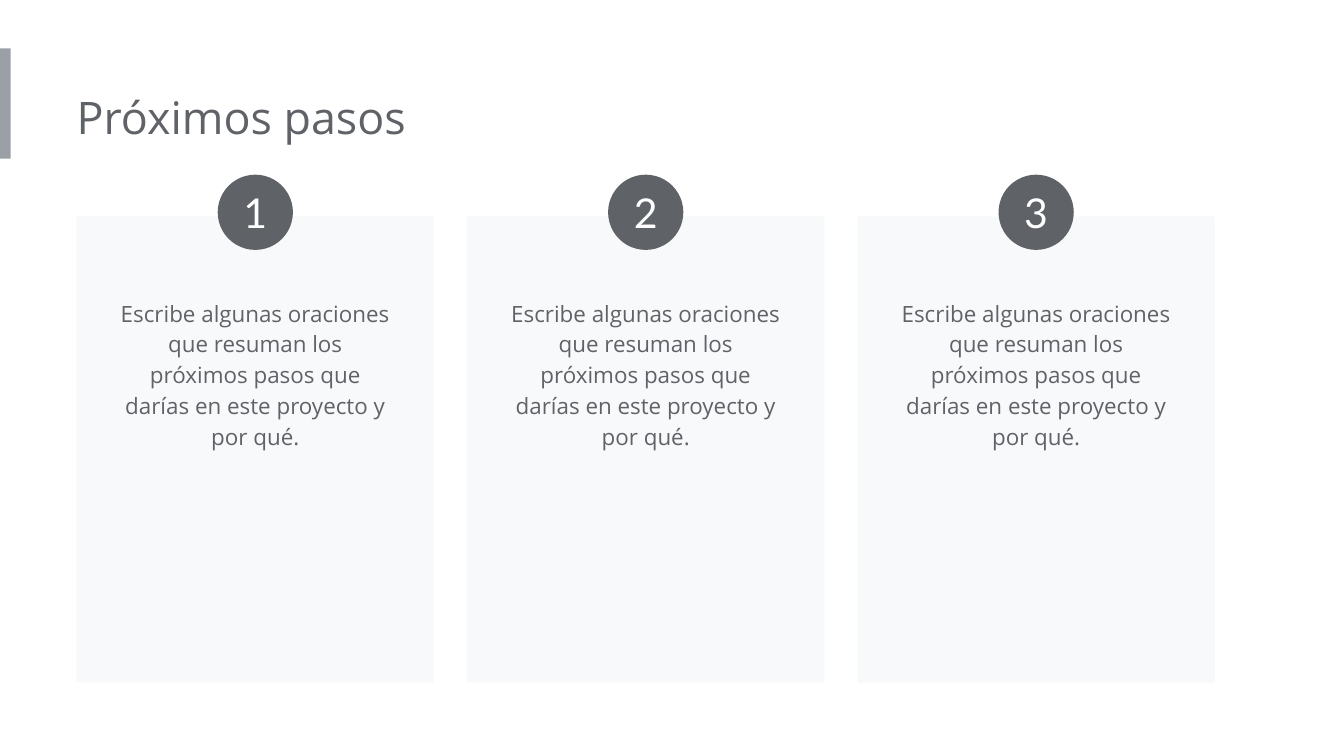
from pptx import Presentation
from pptx.dml.color import RGBColor
from pptx.enum import shapes, text
from pptx.util import Inches, Pt

WHITE = RGBColor(0xFF, 0xFF, 0xFF)
PALE = RGBColor(0xF8, 0xF9, 0xFA)
GREY = RGBColor(0x9A, 0xA0, 0xA6)
DARK = RGBColor(0x5F, 0x63, 0x68)

SLIDE_W = 10
SLIDE_H = SLIDE_W * 9 / 16
MARGIN = 0.57
CARDS_RIGHT = 9.04
CARD_TOP, CARD_W, CARD_H = 1.61, 2.66, 3.47
BADGE = 0.56
STEP = ("Escribe algunas oraciones que resuman los próximos pasos "
        "que darías en este proyecto y por qué.")
STEPS = [STEP] * 3


def inches(*box):
    return [Inches(v) for v in box]


def add_filled(s, kind, box, color):
    sp = s.shapes.add_shape(kind, *inches(*box))
    sp.shadow.inherit = False
    sp.fill.solid()
    sp.fill.fore_color.rgb = color
    sp.line.fill.background()
    return sp


def write(sp, content, size, font, color, align, anchor, insets):
    """Put one formatted paragraph in a shape; insets run left, top, right, bottom."""
    tf = sp.text_frame
    tf.word_wrap = True
    tf.auto_size = text.MSO_AUTO_SIZE.NONE
    tf.vertical_anchor = anchor
    tf.margin_left, tf.margin_top, tf.margin_right, tf.margin_bottom = inches(*insets)
    p = tf.paragraphs[0]
    p.text = content
    p.alignment = align
    p.font.size = Pt(size)
    p.font.name = font
    p.font.color.rgb = color
    return p


def add_heading(s, content, left, top, width, height):
    add_filled(s, shapes.MSO_SHAPE.RECTANGLE, (0, 0.36, 0.08, 0.82), GREY)
    title = s.shapes.title
    title.left, title.top, title.width, title.height = inches(left, top, width, height)
    p = write(title, content, 24, "Open Sans", DARK, text.PP_ALIGN.LEFT,
              text.MSO_ANCHOR.TOP, (0, 0.1, 0.1, 0.1))
    p.line_spacing = 1.0
    p.space_before = Pt(0)


def add_step(s, number, content, left, top, width, height):
    """Draw a card with its text and a numbered badge across the top edge."""
    add_filled(s, shapes.MSO_SHAPE.RECTANGLE, (left, top, width, height), PALE)

    pad = 0.21
    body = s.shapes.add_textbox(*inches(left + pad, top + 0.49, width - 2 * pad, 1.13))
    p = write(body, content, 12, "Open Sans", DARK, text.PP_ALIGN.CENTER,
              text.MSO_ANCHOR.TOP, (0.1,) * 4)
    p.line_spacing = 1.15

    badge = add_filled(s, shapes.MSO_SHAPE.OVAL,
                       (left + (width - BADGE) / 2, top - 0.31, BADGE, BADGE), DARK)
    write(badge, str(number), 22, "Lato", WHITE, text.PP_ALIGN.CENTER,
          text.MSO_ANCHOR.MIDDLE, (0,) * 4)


def main():
    prs = Presentation()
    prs.slide_width, prs.slide_height = inches(SLIDE_W, SLIDE_H)
    s = prs.slides.add_slide(prs.slide_layouts.get_by_name("Title Only"))
    s.background.fill.solid()
    s.background.fill.fore_color.rgb = WHITE

    add_heading(s, "Próximos pasos", MARGIN, 0.57, 5.39, 0.61)
    pitch = (CARDS_RIGHT - CARD_W - MARGIN) / (len(STEPS) - 1)
    for i, content in enumerate(STEPS):
        add_step(s, i + 1, content, MARGIN + i * pitch, CARD_TOP, CARD_W, CARD_H)

    prs.save("out.pptx")


if __name__ == "__main__":
    main()
